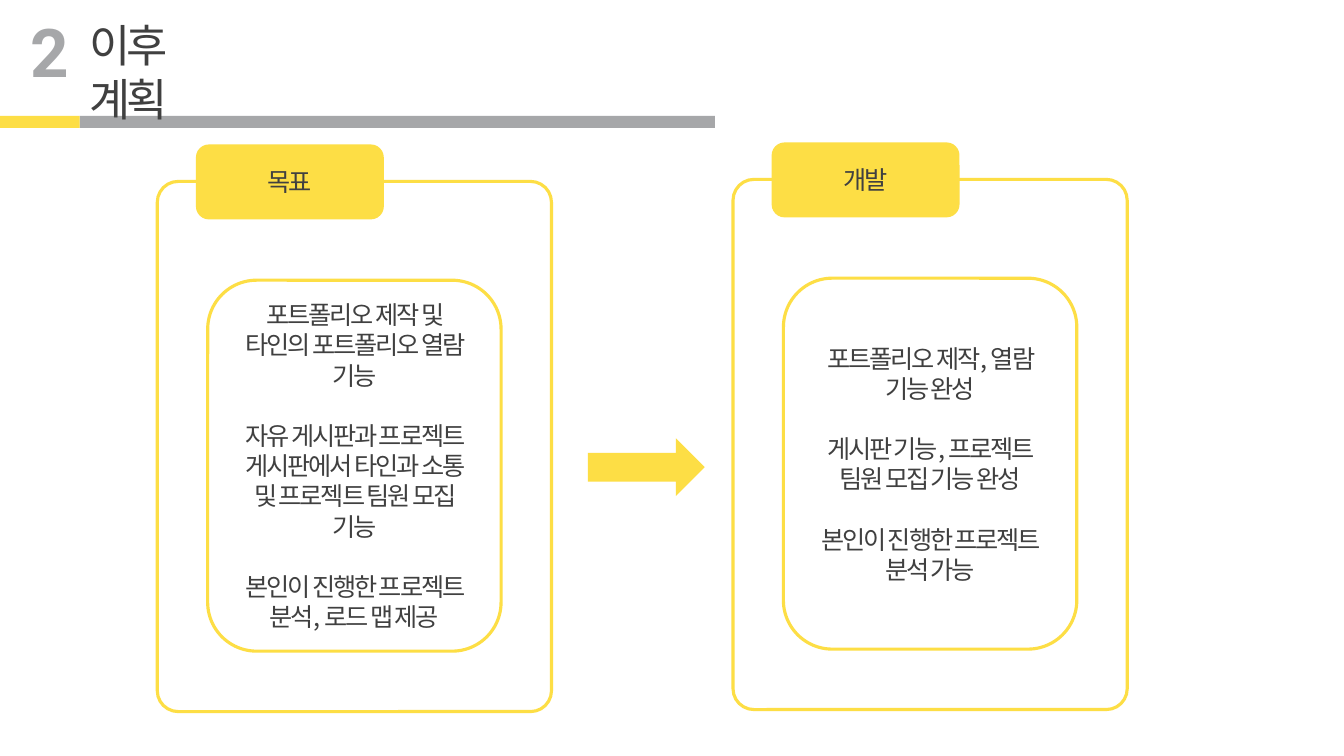
"""Build the follow-up plan slide with a goal card, an arrow and a development card."""
from dataclasses import dataclass
from lxml.etree import SubElement
from pptx import Presentation
from pptx.dml.color import RGBColor as RGB
from pptx.enum.shapes import MSO_SHAPE as Kind
from pptx.enum.text import MSO_ANCHOR as Anchor, PP_ALIGN as Align
from pptx.oxml.ns import qn
from pptx.util import Inches, Pt


@dataclass(frozen=True)
class Theme:
    gold: RGB = RGB(0xFD, 0xDE, 0x45)
    gray: RGB = RGB(0xA6, 0xA7, 0xA9)
    ink: RGB = RGB(0x40, 0x40, 0x40)
    head: str = "Roboto"
    text: str = "Noto Sans CJK KR"
    title: int = 32
    digit: int = 48
    body: int = 18
    gap: float = 21.5


@dataclass(frozen=True)
class Card:
    left: float
    top: float
    label: str
    items: tuple[str, ...]


THEME = Theme()
CARDS = (
    Card(1.56, 1.8, "목표", (
        "포트폴리오 제작 및 타인의 포트폴리오 열람 기능",
        "자유 게시판과 프로젝트 게시판에서 타인과 소통 및 프로젝트 팀원 모집 기능",
        "본인이 진행한 프로젝트 분석, 로드 맵 제공")),
    Card(7.27, 1.78, "개발", (
        "포트폴리오 제작, 열람 기능 완성",
        "게시판 기능, 프로젝트 팀원 모집 기능 완성",
        "본인이 진행한 프로젝트 분석 가능")),
)


def place(shape, left: float, top: float, width: float, height: float) -> None:
    shape.left, shape.top = Inches(left), Inches(top)
    shape.width, shape.height = Inches(width), Inches(height)


def style(para, face: str, size: int, color: RGB, align: Align, track: float = 0) -> None:
    font = para.font
    font.name, font.size, font.color.rgb = face, Pt(size), color
    para.alignment = align
    if track:
        para._p.pPr.find(qn("a:defRPr")).set("spc", str(int(track * 100)))


def draw(slide, kind: Kind, box: tuple, fill: RGB | None = None,
         edge: float = 0, bend: float | None = None):
    shape = slide.shapes.add_shape(kind, *map(Inches, box))
    shape.shadow.inherit = False
    if fill is None:
        shape.fill.background()
    else:
        shape.fill.solid()
        shape.fill.fore_color.rgb = fill
    if edge:
        shape.line.color.rgb = THEME.gold
        shape.line.width = Pt(edge)
    else:
        shape.line.fill.background()
    if bend is not None:
        shape.adjustments[0] = bend
    return shape


def write(shape, items: tuple[str, ...]) -> None:
    frame = shape.text_frame
    frame.word_wrap = True
    frame.vertical_anchor = Anchor.MIDDLE
    frame.margin_left = frame.margin_right = Inches(0.15)
    frame.text = "\n".join(items)
    for rank, para in enumerate(frame.paragraphs):
        style(para, THEME.text, THEME.body, THEME.ink, Align.CENTER, -1.5)
        props = para._p.pPr.find(qn("a:defRPr"))
        SubElement(props, qn("a:ea")).set("typeface", THEME.text)
        para.space_before = Pt(THEME.gap if rank else 0)


def add_card(slide, card: Card) -> None:
    left, top = card.left, card.top
    draw(slide, Kind.ROUNDED_RECTANGLE, (left, top, 3.91, 5.26), edge=2.25, bend=0.053)
    tab = draw(slide, Kind.ROUNDED_RECTANGLE, (left + 0.39, top - 0.36, 1.85, 0.73),
               THEME.gold, 1)
    write(tab, (card.label,))
    panel = draw(slide, Kind.ROUNDED_RECTANGLE, (left + 0.5, top + 0.98, 2.91, 3.68),
                 edge=2.25)
    write(panel, card.items)


def add_head(slide) -> None:
    draw(slide, Kind.RECTANGLE, (0.79, 1.15, 6.3, 0.12), THEME.gray)
    draw(slide, Kind.RECTANGLE, (0, 1.15, 0.79, 0.12), THEME.gold)
    title = slide.shapes.title
    place(title, 0.79, 0.13, 1.2, 1.14)
    title.text_frame.text = "이후 계획"
    title.text_frame.word_wrap = True
    title.text_frame.vertical_anchor = Anchor.TOP
    style(title.text_frame.paragraphs[0], THEME.head, THEME.title, THEME.ink, Align.LEFT, -3)
    title.element.getparent().append(title.element)
    digit = slide.shapes.add_textbox(*map(Inches, (0.2, 0.05, 0.58, 0.91)))
    digit.text_frame.text = "2"
    para = digit.text_frame.paragraphs[0]
    style(para, THEME.head, THEME.digit, THEME.gray, Align.LEFT)
    para.font.bold = True


def main() -> None:
    deck = Presentation()
    deck.slide_width, deck.slide_height = Inches(13.33), Inches(7.5)
    slide = deck.slides.add_slide(deck.slide_layouts[5])
    add_head(slide)
    for card in CARDS:
        add_card(slide, card)
    draw(slide, Kind.RIGHT_ARROW, (5.83, 4.35, 1.16, 0.57), THEME.gold)
    deck.save("out.pptx")


if __name__ == "__main__":
    main()
